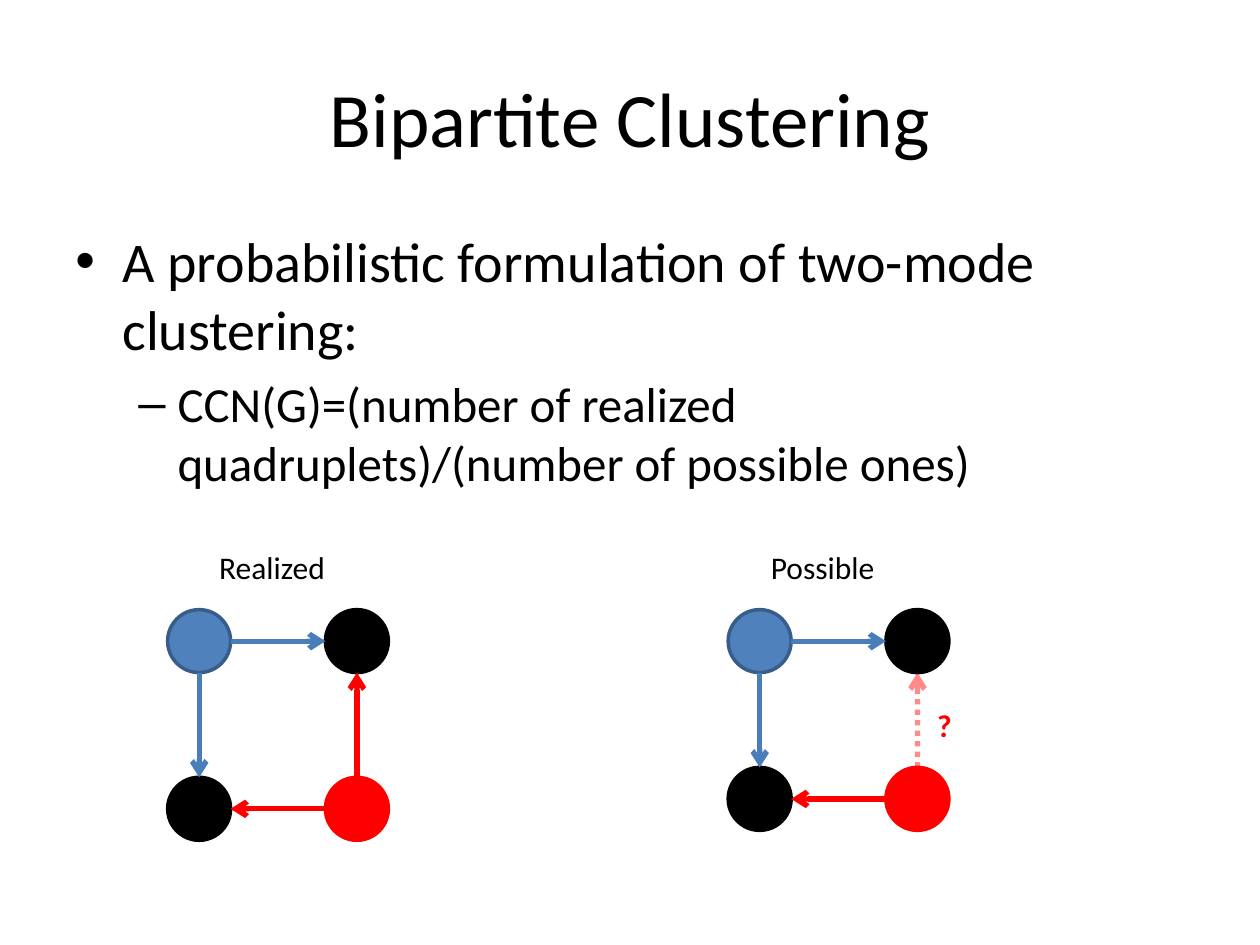
from lxml import etree
from pptx import Presentation
from pptx.dml.color import RGBColor
from pptx.enum.dml import MSO_LINE
from pptx.enum.shapes import MSO_CONNECTOR, MSO_SHAPE
from pptx.enum.text import MSO_ANCHOR, PP_ALIGN
from pptx.oxml.ns import qn
from pptx.util import Cm, Pt

STRAIGHT = MSO_CONNECTOR.STRAIGHT
NODE = MSO_SHAPE.FLOWCHART_CONNECTOR
DOTTED = MSO_LINE.ROUND_DOT
LEFT, CENTER = PP_ALIGN.LEFT, PP_ALIGN.CENTER
TOP, MIDDLE = MSO_ANCHOR.TOP, MSO_ANCHOR.MIDDLE

COLORS = {
    "black": "000000", "red": "FF0000", "blue": "4F81BD",
    "blue outline": "385D8A", "blue arrow": "4A7EBB",
}


def color(name):
    return RGBColor.from_string(COLORS[name])


def add_text(position, paragraphs, anchor=TOP, align=LEFT):
    """Add a text box; each paragraph is (text, font values, bullet or None).

    A bullet is (character, left margin in cm, hanging indent in cm).
    """
    box = slide.shapes.add_textbox(*[Cm(length) for length in position])
    frame = box.text_frame
    frame.word_wrap = True
    frame.vertical_anchor = anchor
    for index, (text, values, bullet) in enumerate(paragraphs):
        para = frame.add_paragraph() if index else frame.paragraphs[0]
        para.alignment = align
        if index:
            para.space_before = Pt(7)
        if bullet:
            character, margin, hanging = bullet
            properties = para._p.get_or_add_pPr()
            properties.set("marL", str(Cm(margin)))
            properties.set("indent", str(-Cm(hanging)))
            font = etree.SubElement(properties, qn("a:buFont"))
            font.set("typeface", "Arial")
            etree.SubElement(properties, qn("a:buChar")).set("char", character)
        span = para.add_run()
        span.text = text
        span.font.color.rgb = color(values.get("color", "black"))
        for name in ("size", "bold"):
            if name in values:
                setattr(span.font, name, values[name])
        span.font.name = "Calibri"


deck = Presentation()
deck.slide_width, deck.slide_height = Cm(25.4), Cm(19.05)
slide = deck.slides.add_slide(deck.slide_layouts[6])

add_text((1.27, 0.76, 22.86, 3.18),
         [("Bipartite Clustering", {"size": Pt(44)}, None)], MIDDLE, CENTER)
add_text((1.27, 4.45, 22.94, 12.62), [
    ("A probabilistic formulation of two-mode clustering:",
     {"size": Pt(32)}, ("•", 0.95, 0.95)),
    ("CCN(G)=(number of realized quadruplets)/(number of possible ones)",
     {"size": Pt(28)}, ("–", 2.06, 0.79)),
])

# Each graph is a square of four nodes, at (column, row)
SIZE, GRAPH_TOP, COLUMN_STEP = 1.27, 12.29, 3.18
NODES = {
    (0, 0): ("blue", "blue outline"),
    (1, 0): ("black", "black"),
    (0, 1): ("black", "black"),
    (1, 1): ("red", "red"),
}
EDGES = [
    ((0, 0), (1, 0), "blue arrow"),
    ((0, 0), (0, 1), "blue arrow"),
    ((1, 1), (0, 1), "red"),
    ((1, 1), (1, 0), "red"),
]
GRAPHS = [  # left, row step, uncertain edge
    (3.38, 3.38, None),
    (14.68, 3.18, ((1, 1), (1, 0))),
]

for graph_left, row_step, uncertain in GRAPHS:
    centers = {}
    for (column, row), (fill, outline) in NODES.items():
        left = graph_left + column * COLUMN_STEP
        top = GRAPH_TOP + row * row_step
        centers[column, row] = left + SIZE / 2, top + SIZE / 2
        node = slide.shapes.add_shape(NODE, Cm(left), Cm(top), Cm(SIZE), Cm(SIZE))
        node.shadow.inherit = False
        node.fill.solid()
        node.fill.fore_color.rgb = color(fill)
        node.line.color.rgb = color(outline)
        node.line.width = Pt(2)

    for start, end, shade in EDGES:
        # Arrows run from rim to rim, so each end moves in by one radius
        shift_x = (end[0] - start[0]) * SIZE / 2
        shift_y = (end[1] - start[1]) * SIZE / 2
        (x1, y1), (x2, y2) = centers[start], centers[end]
        arrow = slide.shapes.add_connector(
            STRAIGHT, Cm(x1 + shift_x), Cm(y1 + shift_y),
            Cm(x2 - shift_x), Cm(y2 - shift_y))
        arrow.line.color.rgb = color(shade)
        arrow.line.width = Pt(3)
        outline = arrow.line._get_or_add_ln()
        if (start, end) == uncertain:
            arrow.line.dash_style = DOTTED
            paint = outline.find(qn("a:solidFill"))[0]
            etree.SubElement(paint, qn("a:alpha")).set("val", "45000")
        etree.SubElement(outline, qn("a:tailEnd")).set("type", "arrow")
        etree.SubElement(arrow._element.spPr, qn("a:effectLst"))

LABELS = [
    ("Realized", (4.17, 10.92, 4.95, 1.02), {}),
    ("Possible", (15.29, 10.92, 3.58, 1.02), {}),
    ("?", (18.64, 14.1, 0.8, 1.02), {"color": "red", "bold": True}),
]
for text, position, extra in LABELS:
    add_text(position, [(text, {"size": Pt(18), **extra}, None)])

deck.save("out.pptx")
